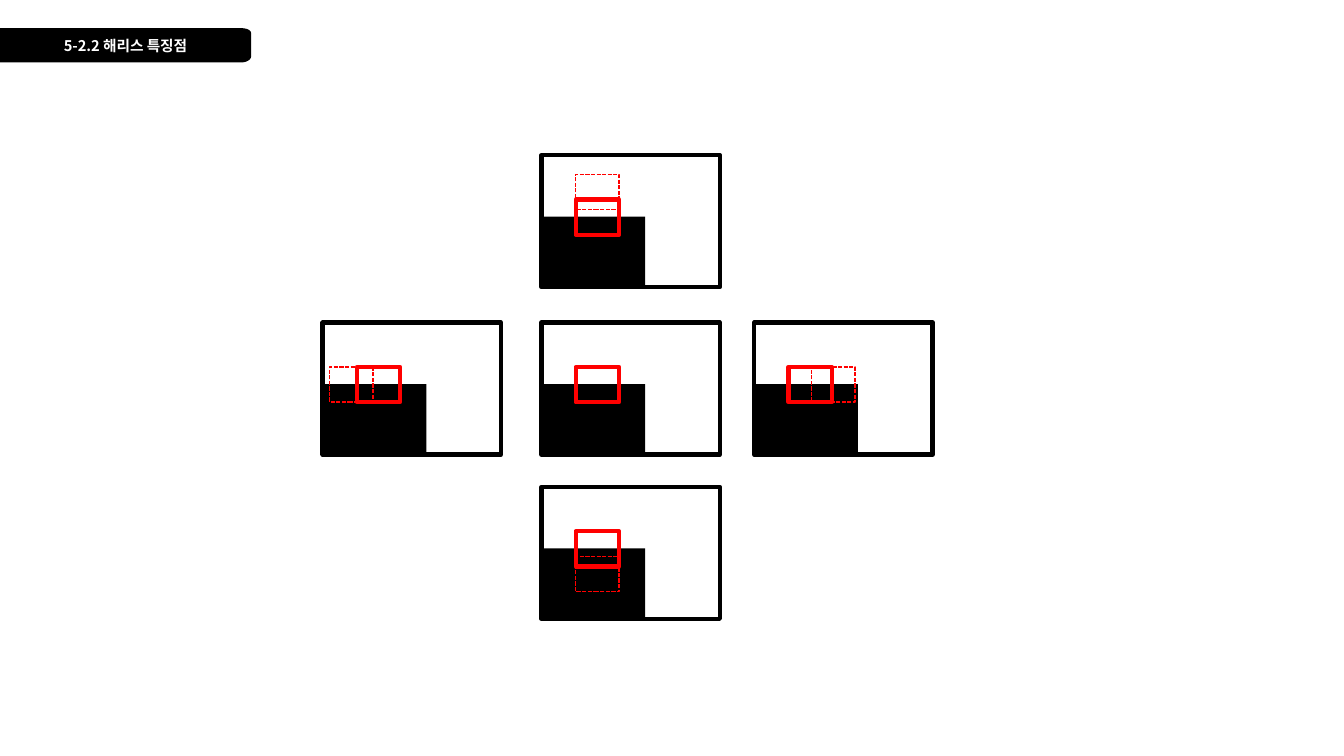
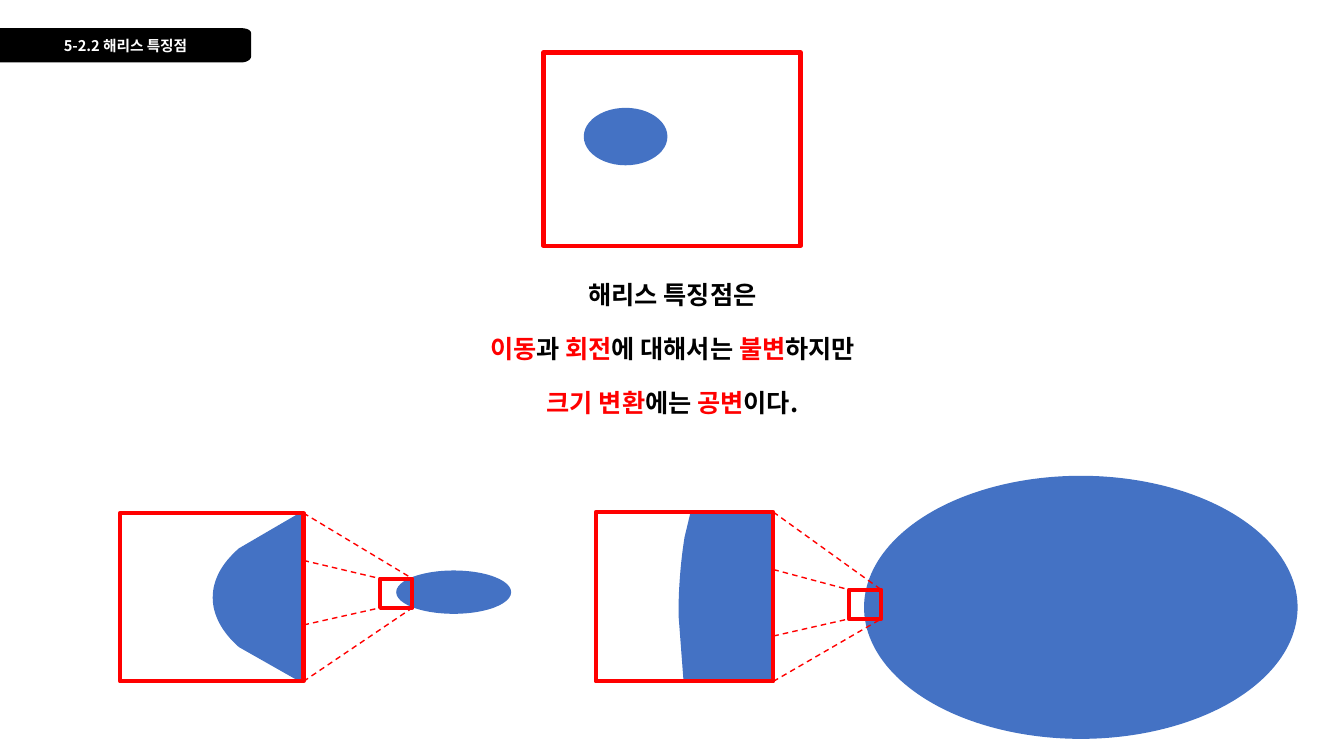
from dataclasses import dataclass

import lxml.etree
import pptx
import pptx.dml.color
import pptx.enum.dml
import pptx.enum.shapes
import pptx.enum.text
import pptx.oxml.ns
import pptx.shapes.autoshape
import pptx.slide
import pptx.text.text
import pptx.util

Inches = pptx.util.Inches
Pt = pptx.util.Pt
SHAPE = pptx.enum.shapes.MSO_SHAPE
DASH = pptx.enum.dml.MSO_LINE
Point = tuple[float, float]

COLORS = {"black": "000000", "white": "FFFFFF", "red": "FF0000", "blue": "4472C4"}
FONT = "Noto Sans CJK KR"
SECTION = "5-2.2 해리스 특징점"


@dataclass(frozen=True)
class Box:
    left: float
    top: float
    width: float
    height: float

    @property
    def right(self) -> float:
        return self.left + self.width

    @property
    def bottom(self) -> float:
        return self.top + self.height

    def moved(self, dx: float, dy: float) -> "Box":
        return Box(self.left + dx, self.top + dy, self.width, self.height)


@dataclass(frozen=True)
class Scene:
    left: float
    top: float
    shift: Point | None


@dataclass(frozen=True)
class Zoom:
    ellipse: Box
    probe: Box
    frame: Box
    outline: list[Point]
    inner_rays: Point


def rgb(color: str) -> pptx.dml.color.RGBColor:
    return pptx.dml.color.RGBColor.from_string(COLORS[color])


def paint(
    shape: pptx.shapes.autoshape.Shape,
    fill: str | None = None,
    line: str | None = None,
    weight: float = 3,
    dash: DASH | None = None,
) -> None:
    shape.shadow.inherit = False
    if fill:
        shape.fill.solid()
        shape.fill.fore_color.rgb = rgb(fill)
    else:
        shape.fill.background()
    if line:
        shape.line.color.rgb = rgb(line)
        shape.line.width = Pt(weight)
        if dash:
            shape.line.dash_style = dash
    else:
        shape.line.fill.background()


def add_figure(
    slide: pptx.slide.Slide,
    box: Box,
    preset: SHAPE = SHAPE.RECTANGLE,
    fill: str | None = None,
    line: str | None = None,
    weight: float = 3,
    dash: DASH | None = None,
) -> None:
    lengths = (Inches(v) for v in (box.left, box.top, box.width, box.height))
    paint(slide.shapes.add_shape(preset, *lengths), fill, line, weight, dash)


def curve(p0: Point, p1: Point, p2: Point, p3: Point, steps: int = 16) -> list[Point]:
    points = []
    for step in range(steps + 1):
        t = step / steps
        weights = ((1 - t) ** 3, 3 * t * (1 - t) ** 2, 3 * t**2 * (1 - t), t**3)
        x, y = (sum(w * p[i] for w, p in zip(weights, (p0, p1, p2, p3))) for i in (0, 1))
        points.append((x, y))
    return points


def add_outline(
    slide: pptx.slide.Slide, points: list[Point], fill: str
) -> pptx.shapes.autoshape.Shape:
    corners = [(Inches(x), Inches(y)) for x, y in points]
    builder = slide.shapes.build_freeform(*corners[0], scale=1.0)
    builder.add_line_segments(corners[1:], close=True)
    outline = builder.convert_to_shape()
    paint(outline, fill)
    return outline


def style_paragraph(paragraph: pptx.text.text._Paragraph, size: float, color: str) -> None:
    paragraph.alignment = pptx.enum.text.PP_ALIGN.CENTER
    font = paragraph.font
    font.size = Pt(size)
    font.bold = True
    font.color.rgb = rgb(color)
    font.name = FONT
    latin = paragraph._p.find(".//" + pptx.oxml.ns.qn("a:latin"))
    east_asian = lxml.etree.Element(pptx.oxml.ns.qn("a:ea"), typeface=FONT)
    latin.addnext(east_asian)


def add_section_tab(slide: pptx.slide.Slide) -> None:
    points = [(0, 0.28)]
    points += curve((2.39, 0.28), (2.45, 0.28), (2.49, 0.3), (2.49, 0.33))
    points += curve((2.49, 0.56), (2.49, 0.59), (2.45, 0.62), (2.39, 0.62))
    points.append((0, 0.62))
    tab = add_outline(slide, points, "black")
    tab.text_frame.vertical_anchor = pptx.enum.text.MSO_ANCHOR.MIDDLE
    label = tab.text_frame.paragraphs[0]
    label.add_run().text = SECTION
    style_paragraph(label, 10.5, "white")


def add_ray(slide: pptx.slide.Slide, start: Point, end: Point) -> None:
    ray = slide.shapes.add_connector(
        pptx.enum.shapes.MSO_CONNECTOR.STRAIGHT, *(Inches(v) for v in (*start, *end))
    )
    ray.line.color.rgb = rgb("red")
    ray.line.width = Pt(1)
    ray.line.dash_style = DASH.DASH
    lxml.etree.SubElement(ray._element.spPr, pptx.oxml.ns.qn("a:effectLst"))


def add_scene(slide: pptx.slide.Slide, scene: Scene) -> None:
    left, top = scene.left, scene.top
    window = Box(left + 0.34, top + 0.44, 0.43, 0.35)
    add_figure(slide, Box(left, top, 1.77, 1.31), fill="white", line="black")
    add_figure(slide, Box(left, top + 0.61, 1.03, 0.71), fill="black")
    add_figure(slide, window, line="red")
    if scene.shift:
        add_figure(
            slide, window.moved(*scene.shift), line="red", weight=1, dash=DASH.SQUARE_DOT
        )


def add_zoom(slide: pptx.slide.Slide, zoom: Zoom) -> None:
    probe, frame = zoom.probe, zoom.frame
    add_figure(slide, zoom.ellipse, SHAPE.OVAL, fill="blue")
    add_figure(slide, probe, line="red")
    add_outline(slide, zoom.outline, "blue")
    add_figure(slide, frame, line="red")
    upper, lower = zoom.inner_rays
    for start_y, end in (
        (frame.top, (probe.right, probe.top)),
        (frame.bottom, (probe.right, probe.bottom)),
        (upper, (probe.left, probe.top)),
        (lower, (probe.left, probe.bottom)),
    ):
        add_ray(slide, (frame.right, start_y), end)


def add_statement(slide: pptx.slide.Slide) -> None:
    statement = slide.shapes.add_textbox(
        Inches(4.01), Inches(2.72), Inches(5.32), Inches(1.62)
    ).text_frame
    statement.word_wrap = True
    for index, line in enumerate(STATEMENT):
        paragraph = statement.paragraphs[0] if index == 0 else statement.add_paragraph()
        for text, color in line:
            run = paragraph.add_run()
            run.text = text
            run.font.color.rgb = rgb(color)
        style_paragraph(paragraph, 18, "black")
        if index:
            paragraph.space_before = Pt(17)


SCENES = [
    Scene(5.37, 1.54, (0, -0.25)),
    Scene(5.37, 3.2, None),
    Scene(5.37, 4.83, (0, 0.25)),
    Scene(3.2, 3.2, (-0.27, 0)),
    Scene(7.48, 3.2, (0.23, 0)),
]

STATEMENT = [
    [("해리스 특징점은", "black")],
    [
        ("이동", "red"),
        ("과 ", "black"),
        ("회전", "red"),
        ("에 대해서는 ", "black"),
        ("불변", "red"),
        ("하지만", "black"),
    ],
    [("크기 변환", "red"), ("에는 ", "black"), ("공변", "red"), ("이다.", "black")],
]

ZOOMS = [
    Zoom(
        ellipse=Box(3.93, 5.66, 1.14, 0.43),
        probe=Box(3.77, 5.74, 0.32, 0.29),
        frame=Box(1.19, 5.09, 1.82, 1.67),
        outline=[(2.97, 5.09), (3.02, 5.09), (3.02, 6.76), (2.97, 6.76)]
        + curve((2.37, 6.42), (2.2, 6.27), (2.11, 6.1), (2.11, 5.93))
        + curve((2.11, 5.93), (2.11, 5.75), (2.2, 5.59), (2.37, 5.44)),
        inner_rays=(5.56, 6.2),
    ),
    Zoom(
        ellipse=Box(8.57, 4.72, 4.3, 2.61),
        probe=Box(8.42, 5.85, 0.32, 0.29),
        frame=Box(5.91, 5.08, 1.76, 1.68),
        outline=[(6.85, 5.08), (7.67, 5.08), (7.67, 6.76), (6.78, 6.76)]
        + curve((6.73, 6.1), (6.73, 5.84), (6.75, 5.58), (6.79, 5.33)),
        inner_rays=(5.65, 6.31),
    ),
]


def main() -> None:
    deck = pptx.Presentation()
    deck.slide_width = Inches(13.33)
    deck.slide_height = Inches(7.5)
    shifts, scaling = (deck.slides.add_slide(deck.slide_layouts[6]) for _ in range(2))
    for slide in (shifts, scaling):
        add_section_tab(slide)

    for scene in SCENES:
        add_scene(shifts, scene)

    add_statement(scaling)
    for zoom in ZOOMS:
        add_zoom(scaling, zoom)
    add_figure(scaling, Box(5.39, 0.52, 2.55, 1.92), fill="white", line="red")
    add_figure(scaling, Box(5.79, 1.07, 0.83, 0.57), SHAPE.OVAL, fill="blue")

    deck.save("out.pptx")


if __name__ == "__main__":
    main()
